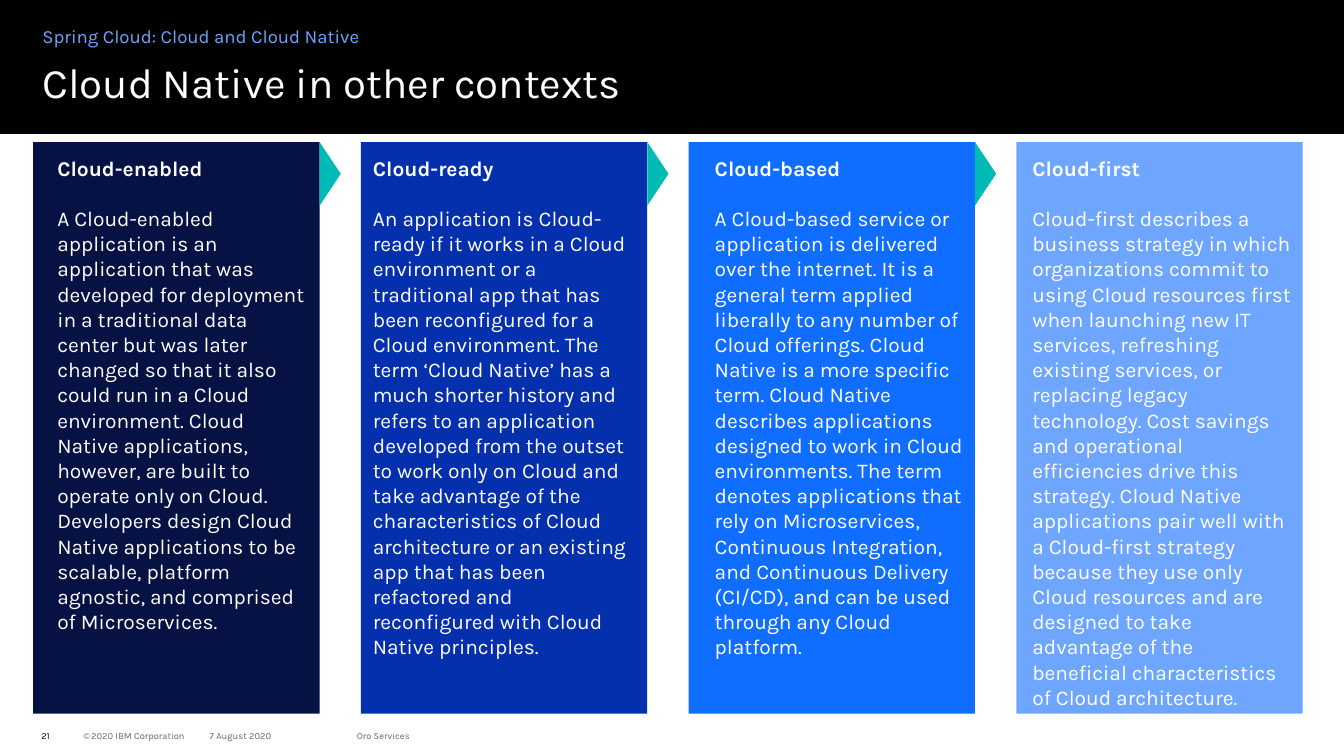
from dataclasses import dataclass

import pptx
import pptx.dml.color
import pptx.enum.shapes
import pptx.enum.text
import pptx.util

SLIDE_WIDTH, SLIDE_HEIGHT = 13.33, 7.5
FONT = "Karla"
WHITE, BLACK, GREY, TEAL, SKY = "FFFFFF", "000000", "666666", "00BAB6", "6EA6FF"

# Panel grid
PANEL_LEFT, PANEL_TOP = 0.33, 1.41
PANEL_WIDTH, PANEL_HEIGHT = 2.84, 5.67
PANEL_PITCH = 3.25
TEXT_TOP = 1.49
ARROW_LENGTH, ARROW_SPAN = 0.21, 0.63

FOOTER_TOP, FOOTER_HEIGHT, FOOTER_SIZE = 7.2, 0.2, 6.7


@dataclass(frozen=True)
class Stage:
    heading: str
    body: str
    color: str
    text_offset: float
    text_width: float


@dataclass(frozen=True)
class FooterItem:
    runs: tuple[tuple[str, float], ...]
    left: float
    width: float
    color: str = GREY


STAGES = (
    Stage(
        "Cloud-enabled",
        "A Cloud-enabled application is an application that was developed for deployment in a "
        "traditional data center but was later changed so that it also could run in a Cloud "
        "environment. Cloud Native applications, however, are built to operate only on Cloud. "
        "Developers design Cloud Native applications to be scalable, platform agnostic, and "
        "comprised of Microservices.",
        "051243", 0.14, 2.66,
    ),
    Stage(
        "Cloud-ready",
        "An application is Cloud-ready if it works in a Cloud environment or a traditional app "
        "that has been reconfigured for a Cloud environment. The term ‘Cloud Native’ has a much "
        "shorter history and refers to an application developed from the outset to work only on "
        "Cloud and take advantage of the characteristics of Cloud architecture or an existing app "
        "that has been refactored and reconfigured with Cloud Native principles.",
        "0530AD", 0.02, 2.84,
    ),
    Stage(
        "Cloud-based",
        "A Cloud-based service or application is delivered over the internet. It is a general "
        "term applied liberally to any number of Cloud offerings. Cloud Native is a more specific "
        "term. Cloud Native describes applications designed to work in Cloud environments. The "
        "term denotes applications that rely on Microservices, Continuous Integration, and "
        "Continuous Delivery (CI/CD), and can be used through any Cloud platform.",
        "0F6DFF", 0.16, 2.68,
    ),
    Stage(
        "Cloud-first",
        "Cloud-first describes a business strategy in which organizations commit to using Cloud "
        "resources first when launching new IT services, refreshing existing services, or "
        "replacing legacy technology. Cost savings and operational efficiencies drive this "
        "strategy. Cloud Native applications pair well with a Cloud-first strategy because they "
        "use only Cloud resources and are designed to take advantage of the beneficial "
        "characteristics of Cloud architecture.",
        SKY, 0.06, 2.78,
    ),
)

FOOTER = (
    FooterItem((("21", FOOTER_SIZE),), 0.41, 0.3, BLACK),
    FooterItem((("©", FOOTER_SIZE), (" ", 3.3), ("2020 IBM Corporation", FOOTER_SIZE)), 0.83, 1.2),
    FooterItem((("7 August 2020", FOOTER_SIZE),), 2.08, 1.25),
    FooterItem((("Oro Services", FOOTER_SIZE),), 3.54, 2.08),
)


def rgb(color: str) -> pptx.dml.color.RGBColor:
    return pptx.dml.color.RGBColor.from_string(color)


def inches(*lengths: float) -> list[pptx.util.Length]:
    return [pptx.util.Inches(length) for length in lengths]


def add_filled(slide, kind, left: float, top: float, width: float, height: float, color: str):
    shape = slide.shapes.add_shape(kind, *inches(left, top, width, height))
    shape.shadow.inherit = False
    shape.fill.solid()
    shape.fill.fore_color.rgb = rgb(color)
    shape.line.fill.background()
    return shape


def add_frame(slide, left: float, top: float, width: float, height: float, inset: bool = False):
    """Add a wrapping text box and return its text frame, without margins unless inset."""
    frame = slide.shapes.add_textbox(*inches(left, top, width, height)).text_frame
    frame.word_wrap = True
    if not inset:
        frame.margin_left = frame.margin_top = frame.margin_right = frame.margin_bottom = 0
    return frame


def style(paragraph, size: float, color: str, bold: bool = False) -> None:
    font = paragraph.font
    font.name, font.size, font.bold = FONT, pptx.util.Pt(size), bold
    font.color.rgb = rgb(color)


def add_heading(slide, text: str, top: float, width: float, height: float,
                size: float, color: str, spacing: float) -> None:
    paragraph = add_frame(slide, 0.42, top, width, height).paragraphs[0]
    paragraph.text = text
    paragraph.line_spacing = spacing
    style(paragraph, size, color)


def panel_left(column: int) -> float:
    return PANEL_LEFT + column * PANEL_PITCH


def add_stage_text(slide, stage: Stage, column: int) -> None:
    frame = add_frame(slide, panel_left(column) + stage.text_offset, TEXT_TOP,
                      stage.text_width, 5.15, inset=True)
    heading, body = frame.paragraphs[0], frame.add_paragraph()
    heading.text, body.text = stage.heading, stage.body
    heading.space_after = pptx.util.Pt(18)
    style(heading, 15, WHITE, bold=True)
    style(body, 15, WHITE)


def add_arrow(slide, column: int) -> None:
    """Add a triangle pointing right from the top of the panel's right edge."""
    center_x = panel_left(column) + PANEL_WIDTH + ARROW_LENGTH / 2
    center_y = PANEL_TOP + ARROW_SPAN / 2
    arrow = add_filled(slide, pptx.enum.shapes.MSO_SHAPE.ISOSCELES_TRIANGLE,
                       center_x - ARROW_SPAN / 2, center_y - ARROW_LENGTH / 2,
                       ARROW_SPAN, ARROW_LENGTH, TEAL)
    arrow.rotation = 90


def add_footer_item(slide, item: FooterItem) -> None:
    frame = add_frame(slide, item.left, FOOTER_TOP, item.width, FOOTER_HEIGHT)
    frame.vertical_anchor = pptx.enum.text.MSO_ANCHOR.MIDDLE
    paragraph = frame.paragraphs[0]
    for text, size in item.runs:
        run = paragraph.add_run()
        run.text = text
        run.font.size = pptx.util.Pt(size)
    style(paragraph, FOOTER_SIZE, item.color)


def main() -> None:
    presentation = pptx.Presentation()
    presentation.slide_width, presentation.slide_height = inches(SLIDE_WIDTH, SLIDE_HEIGHT)
    slide = presentation.slides.add_slide(presentation.slide_layouts[6])
    rectangle = pptx.enum.shapes.MSO_SHAPE.RECTANGLE

    for item in FOOTER:
        add_footer_item(slide, item)
    add_filled(slide, rectangle, 0, 0, SLIDE_WIDTH, 1.33, BLACK)
    add_heading(slide, "Spring Cloud: Cloud and Cloud Native", 0.24, 6, 0.25, 13.3, SKY, 1.05)
    add_heading(slide, "Cloud Native in other contexts", 0.62, 12.5, 0.71, 30, WHITE, 0.9)

    for column, stage in enumerate(STAGES):
        add_filled(slide, rectangle, panel_left(column), PANEL_TOP,
                   PANEL_WIDTH, PANEL_HEIGHT, stage.color)
        add_stage_text(slide, stage, column)
    for column in range(len(STAGES) - 1):
        add_arrow(slide, column)

    presentation.save("out.pptx")


if __name__ == "__main__":
    main()
